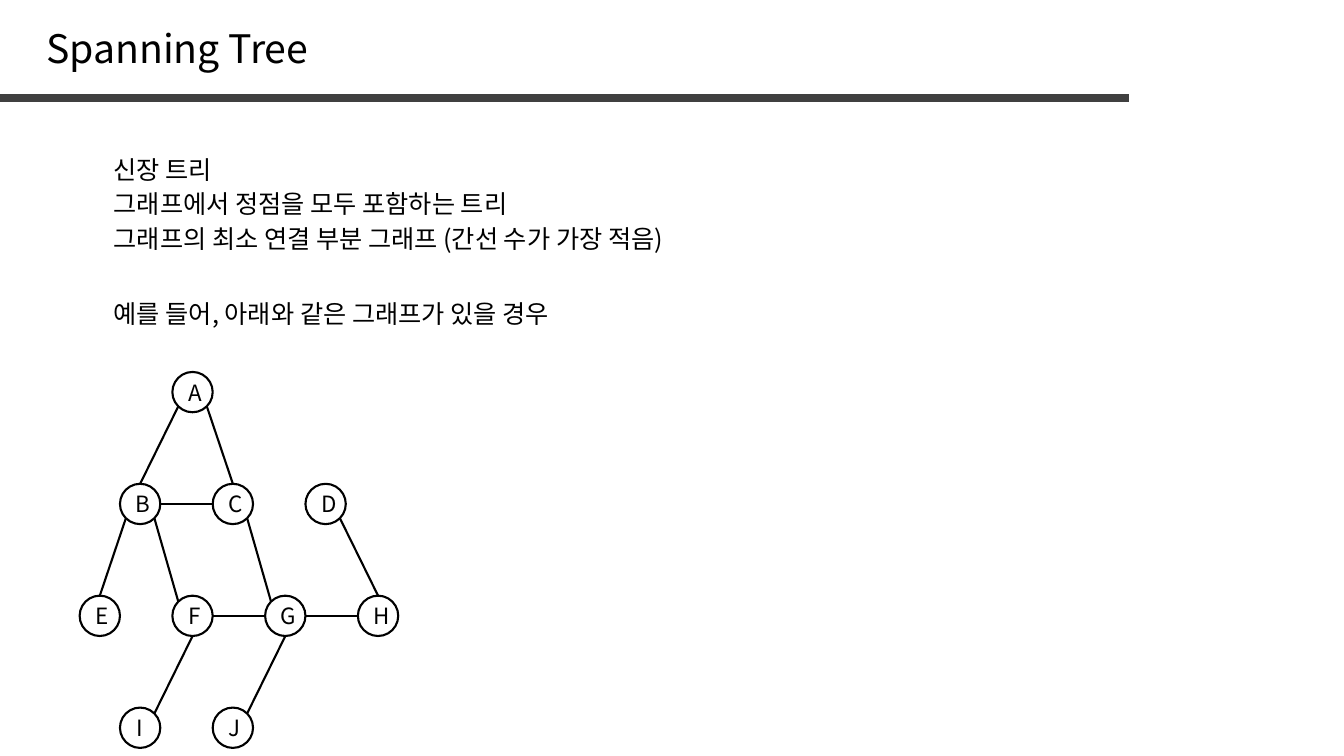
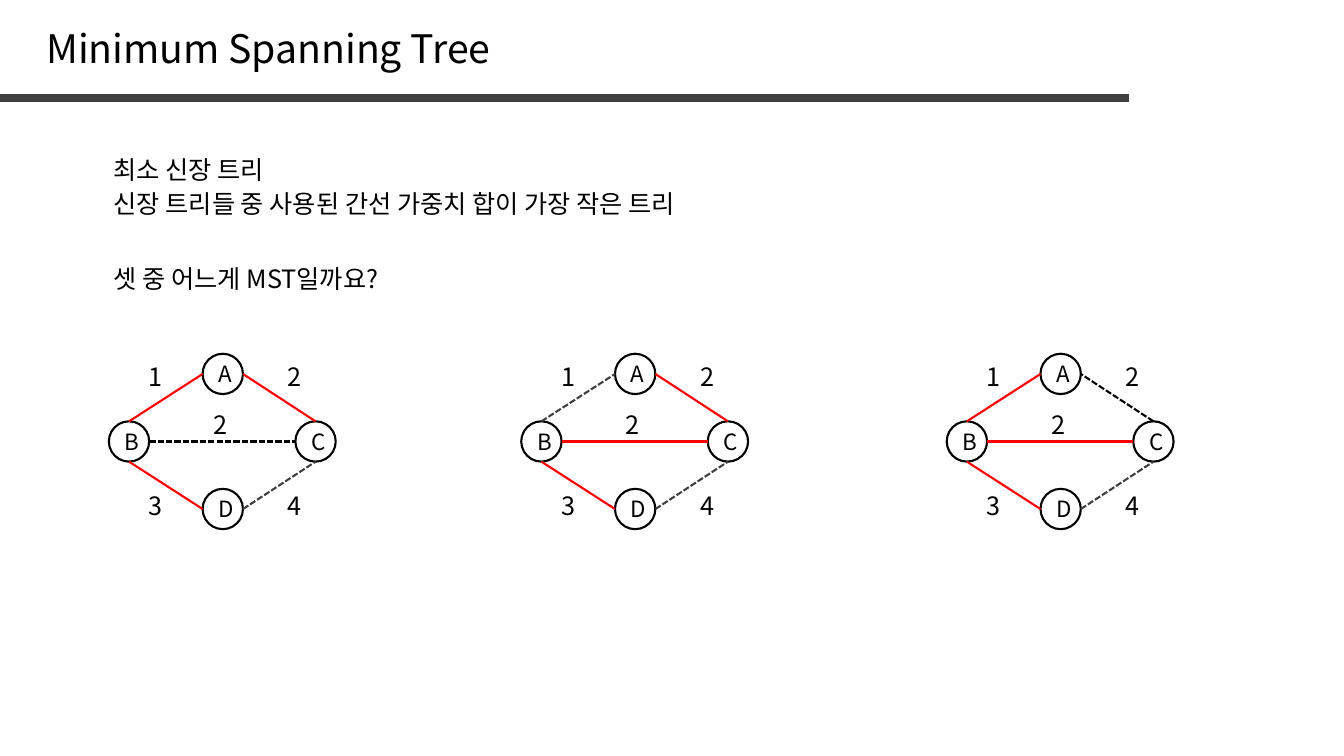
import math
from lxml import etree
from pptx import Presentation
from pptx.dml.color import RGBColor
from pptx.enum import dml, shapes, text
from pptx.oxml.ns import qn
from pptx.util import Inches, Pt

FONT = "Noto Sans CJK KR"
BLACK, GRAY, RED = "000000", "404040", "FF0000"
NODE = 0.4
TOP, TOP_LEFT, LEFT, BOTTOM_LEFT, BOTTOM, BOTTOM_RIGHT, RIGHT, TOP_RIGHT = range(8)

TREE_STEP_X, TREE_STEP_Y, TREE_SHIFT = 0.92, 1.11, 0.4
TREE_NODES = {
    "A": (TREE_STEP_X, 0),
    **{n: (TREE_SHIFT + i * TREE_STEP_X, TREE_STEP_Y) for i, n in enumerate("BCD")},
    **{n: (i * TREE_STEP_X, 2 * TREE_STEP_Y) for i, n in enumerate("EFGH")},
    **{n: (TREE_SHIFT + i * TREE_STEP_X, 3 * TREE_STEP_Y) for i, n in enumerate("IJ")},
}
TREE_EDGES = [
    ("B", TOP, "A", BOTTOM_LEFT),
    ("C", TOP, "A", BOTTOM_RIGHT),
    ("B", RIGHT, "C", LEFT),
    ("E", TOP, "B", BOTTOM_LEFT),
    ("F", TOP_LEFT, "B", BOTTOM_RIGHT),
    ("J", TOP_RIGHT, "G", BOTTOM),
    ("F", RIGHT, "G", LEFT),
    ("C", BOTTOM_RIGHT, "G", TOP_LEFT),
    ("G", RIGHT, "H", LEFT),
    ("D", BOTTOM_RIGHT, "H", TOP),
    ("I", TOP_RIGHT, "F", BOTTOM),
]

DIAMOND_NODES = {"A": (0.93, 0), "B": (0, 0.67), "C": (1.85, 0.67), "D": (0.93, 1.34)}
DIAMOND_EDGES = [
    ("B", TOP, "A", LEFT),
    ("C", TOP, "A", RIGHT),
    ("B", RIGHT, "C", LEFT),
    ("D", LEFT, "B", BOTTOM),
    ("D", RIGHT, "C", BOTTOM),
]
WEIGHTS = [("1", 0.2, 0.03), ("2", 1.58, 0.03), ("2", 0.84, 0.5),
           ("3", 0.2, 1.31), ("4", 1.58, 1.31)]
CHOSEN = (RED, False)
DROPPED = (GRAY, True)
DROPPED_BLACK = (BLACK, True)
DIAMONDS = [
    (1.08, [CHOSEN, CHOSEN, DROPPED_BLACK, CHOSEN, DROPPED]),
    (5.17, [DROPPED, CHOSEN, CHOSEN, CHOSEN, DROPPED]),
    (9.39, [CHOSEN, DROPPED_BLACK, CHOSEN, CHOSEN, DROPPED]),
]


def rgb(value):
    """Turn a hex string into a colour."""
    return RGBColor.from_string(value)


def set_attrs(obj, **values):
    """Set each named format value on an object."""
    for name, value in values.items():
        setattr(obj, name, value)


def write(p, words, size, align=text.PP_ALIGN.LEFT):
    """Write one run in the shared font."""
    p.alignment = align
    r = p.add_run()
    r.text = words
    set_attrs(r.font, size=Pt(size), name=FONT)
    r.font.color.rgb = rgb(BLACK)
    etree.SubElement(r.font._element, qn("a:ea"), typeface=FONT)


def add_line(s, start, end, color, width=1.5, dashed=False):
    """Draw a straight connector without shadow."""
    points = [Inches(v) for v in (*start, *end)]
    line = s.shapes.add_connector(shapes.MSO_CONNECTOR.STRAIGHT, *points)
    line.line.color.rgb = rgb(color)
    line.line.width = Pt(width)
    if dashed:
        line.line.dash_style = dml.MSO_LINE.SQUARE_DOT
    etree.SubElement(line._element.spPr, qn("a:effectLst"))
    return line


def add_node(s, x, y, name):
    """Draw a circle holding a vertex name."""
    sp = s.shapes.add_shape(shapes.MSO_SHAPE.OVAL, *map(Inches, (x, y, NODE, NODE)))
    sp.shadow.inherit = False
    sp.fill.background()
    sp.line.color.rgb = rgb(BLACK)
    sp.line.width = Pt(1.5)
    sp.text_frame.vertical_anchor = text.MSO_ANCHOR.MIDDLE
    write(sp.text_frame.paragraphs[0], name, 16, text.PP_ALIGN.CENTER)
    return sp


def site_point(x, y, site):
    """Find a connection site on the circle in the given box."""
    angle = math.radians(90 + 45 * site)
    r = NODE / 2
    return x + r + r * math.cos(angle), y + r - r * math.sin(angle)


def add_graph(s, x, y, nodes, edges, styles):
    """Draw circles and the edges glued to them from a top-left corner."""
    places = {n: (x + dx, y + dy) for n, (dx, dy) in nodes.items()}
    circles = {n: add_node(s, *place, n) for n, place in places.items()}
    for (a, a_site, b, b_site), (color, dashed) in zip(edges, styles):
        line = add_line(s, site_point(*places[a], a_site),
                        site_point(*places[b], b_site), color, dashed=dashed)
        joints = line._element.find(".//" + qn("p:cNvCxnSpPr"))
        for tag, name, site in (("a:stCxn", a, a_site), ("a:endCxn", b, b_site)):
            etree.SubElement(joints, qn(tag), id=str(circles[name].shape_id), idx=str(site))


def add_weighted_graph(s, x, y, styles):
    """Draw a diamond graph with its edge weights."""
    add_graph(s, x, y, DIAMOND_NODES, DIAMOND_EDGES, styles)
    for weight, dx, dy in WEIGHTS:
        tf = add_text_box(s, x + dx, y + dy, 0.53, 0.4)
        write(tf.paragraphs[0], weight, 18, text.PP_ALIGN.CENTER)


def add_text_box(s, x, y, w, h):
    """Add a wrapping text box and return its frame."""
    tf = s.shapes.add_textbox(*map(Inches, (x, y, w, h))).text_frame
    tf.word_wrap = True
    return tf


def add_body(s, x, y, w, h, lines, question):
    """Write the definition lines, then the question after a gap."""
    tf = add_text_box(s, x, y, w, h)
    for i, words in enumerate([*lines, question]):
        p = tf.add_paragraph() if i else tf.paragraphs[0]
        p.space_before = Pt(32 if words == question else 3 if i else 0)
        write(p, words, 18)


def add_titled_slide(prs, title, title_width):
    """Add a slide with the title and the rule below it."""
    s = prs.slides.add_slide(prs.slide_layouts[5])
    sp = s.shapes.title
    set_attrs(sp, left=Inches(0.36), top=Inches(0.19),
              width=Inches(title_width), height=Inches(0.57))
    set_attrs(sp.text_frame, word_wrap=False, vertical_anchor=text.MSO_ANCHOR.TOP,
              auto_size=text.MSO_AUTO_SIZE.SHAPE_TO_FIT_TEXT)
    write(sp.text_frame.paragraphs[0], title, 28)
    add_line(s, (0, 0.97), (11.2, 0.97), GRAY, 6)
    return s


def spanning_tree_slide(prs):
    """Build the slide that defines a spanning tree."""
    s = add_titled_slide(prs, "Spanning Tree", 2.84)
    add_body(s, 1.03, 1.48, 11.2, 2.01,
             ["신장 트리", "그래프에서 정점을 모두 포함하는 트리",
              "그래프의 최소 연결 부분 그래프 (간선 수가 가장 적음)"],
             "예를 들어, 아래와 같은 그래프가 있을 경우")
    add_graph(s, 0.79, 3.69, TREE_NODES, TREE_EDGES, [(BLACK, False)] * len(TREE_EDGES))


def minimum_tree_slide(prs):
    """Build the slide that compares three spanning trees."""
    s = add_titled_slide(prs, "Minimum Spanning Tree", 4.65)
    add_body(s, 1.03, 1.48, 11.2, 1.61,
             ["최소 신장 트리", "신장 트리들 중 사용된 간선 가중치 합이 가장 작은 트리"],
             "셋 중 어느게 MST일까요?")
    for x, styles in DIAMONDS:
        add_weighted_graph(s, x, 3.51, styles)


def main():
    """Build and save the slides."""
    prs = Presentation()
    set_attrs(prs, slide_width=Inches(13.33), slide_height=Inches(7.5))
    spanning_tree_slide(prs)
    minimum_tree_slide(prs)
    prs.save("out.pptx")


if __name__ == "__main__":
    main()
